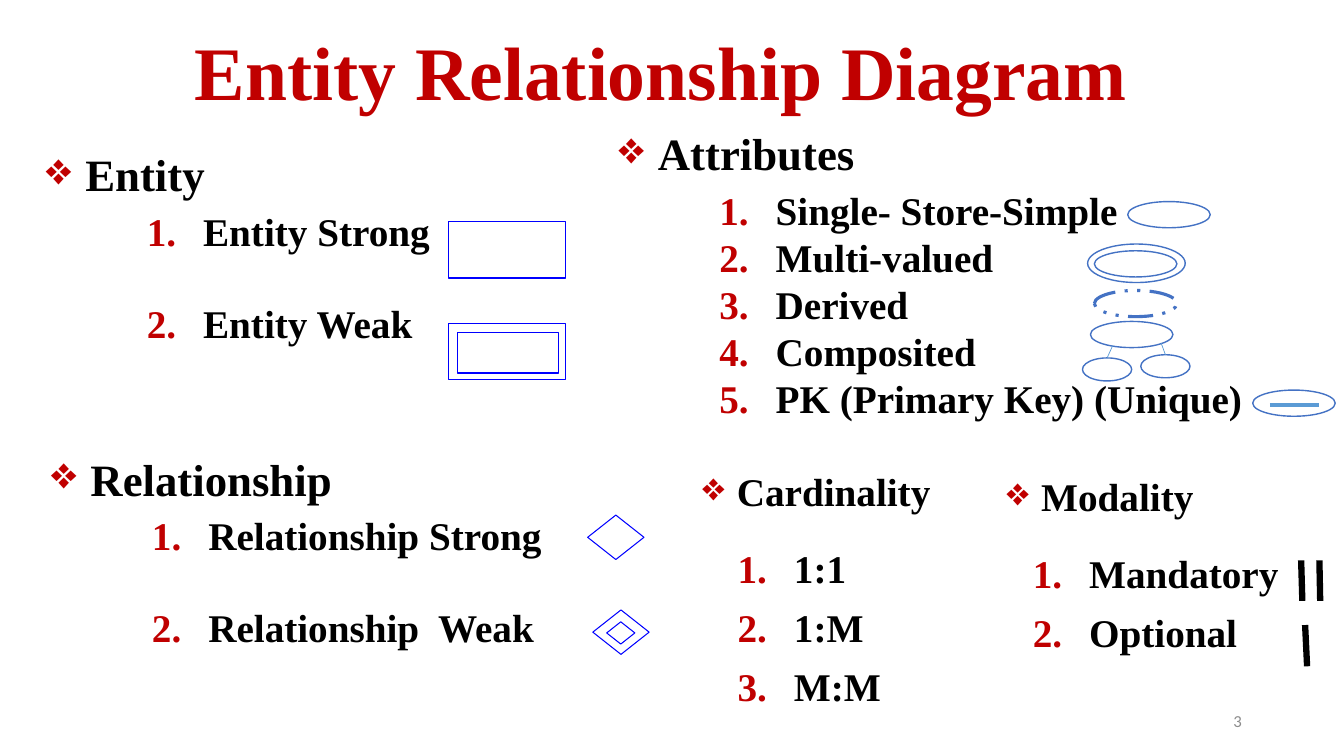
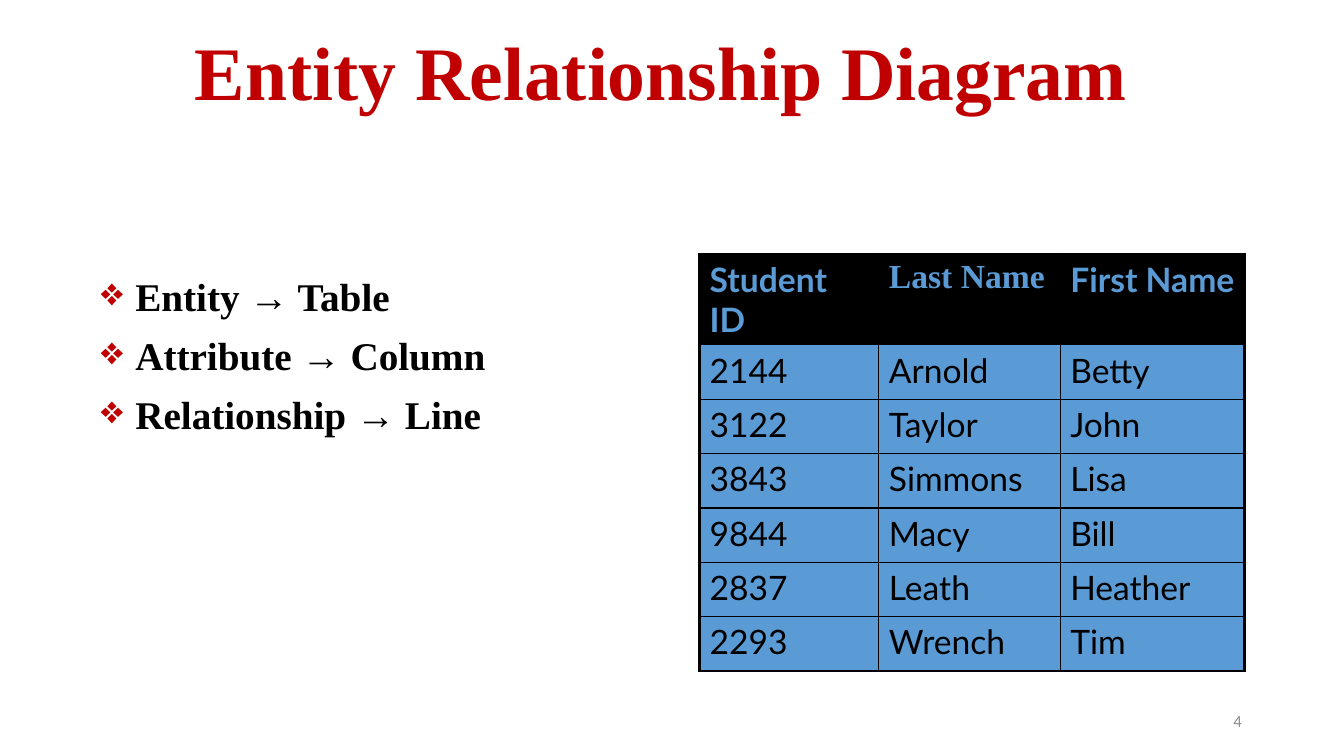
import dataclasses
import typing

import lxml.etree
import pptx
import pptx.dml.color
import pptx.enum.dml
import pptx.enum.shapes
import pptx.enum.text
import pptx.oxml.ns
import pptx.util

Cm = pptx.util.Cm
Pt = pptx.util.Pt
qn = pptx.oxml.ns.qn
Align = pptx.enum.text.PP_ALIGN
Anchor = pptx.enum.text.MSO_ANCHOR
Kind = pptx.enum.shapes.MSO_SHAPE


@dataclasses.dataclass(frozen=True)
class Theme:
    red: str = "C00000"
    black: str = "000000"
    white: str = "FFFFFF"
    gray: str = "8C8C8C"
    symbol_blue: str = "0000FF"
    oval_blue: str = "4472C4"
    light_blue: str = "5B9BD5"
    serif: str = "Times New Roman"
    table_font: str = "Lato"
    number_font: str = "Calibri"
    title_size: float = 54
    heading_size: float = 32
    body_size: float = 28
    table_size: float = 24
    number_size: float = 12


THEME = Theme()


class Box(typing.NamedTuple):
    """Left, top, width and height in centimetres."""
    x: float
    y: float
    w: float
    h: float


class Topic(typing.NamedTuple):
    box: Box
    heading: str
    items: tuple[str, ...]
    item_gap: float = 0


class Listing(typing.NamedTuple):
    box: Box
    items: tuple[str, ...]
    numbered: bool = False


class Symbol(typing.NamedTuple):
    kind: Kind
    box: Box
    color: str
    weight: float = 1
    dash: typing.Any = None


class Stroke(typing.NamedTuple):
    x1: float
    y1: float
    x2: float
    y2: float
    color: str
    weight: float


TITLE = "Entity Relationship Diagram"
TITLE_BOX = Box(2.29, 0.66, 28.73, 2.51)
NUMBER_BOX = Box(23.93, 17.65, 7.62, 1.02)
DIAMOND_BULLET = "❖"
NUMBER_HANG = 1.42
TOPIC_INDENT = 3.96

TOPICS = (
    Topic(Box(0.91, 3.58, 15, 6.58), "Entity", ("Entity Strong", "Entity Weak"), 32),
    Topic(Box(15.34, 3.05, 17.17, 7.77), "Attributes",
          ("Single- Store-Simple", "Multi-valued", "Derived", "Composited",
           "PK (Primary Key) (Unique)")),
    Topic(Box(1.04, 11.25, 14.66, 6.58), "Relationship",
          ("Relationship Strong", "Relationship  Weak"), 32),
)
CONSTRAINTS = (
    Listing(Box(17.45, 11.79, 7.5, 1.35), ("Cardinality",)),
    Listing(Box(18.34, 13.72, 7, 4.34), ("1:1", "1:M", "M:M"), True),
    Listing(Box(25.12, 11.91, 8.5, 1.35), ("Modality",)),
    Listing(Box(25.78, 13.84, 8, 2.84), ("Mandatory", "Optional"), True),
)
MAPPING = Listing(Box(2.29, 6.86, 10.74, 4.34),
                  ("Entity → Table", "Attribute → Column", "Relationship → Line"))


def oval(x: float, y: float, w: float = 2.08, h: float = 0.66, **line: typing.Any) -> Symbol:
    return Symbol(Kind.OVAL, Box(x, y, w, h), THEME.oval_blue, **line)


def rectangle(x: float, y: float, w: float = 2.95, h: float = 1.42) -> Symbol:
    return Symbol(Kind.RECTANGLE, Box(x, y, w, h), THEME.symbol_blue)


def diamond(x: float, y: float, w: float = 1.42, h: float = 1.12) -> Symbol:
    return Symbol(Kind.DIAMOND, Box(x, y, w, h), THEME.symbol_blue, 0.75)


SYMBOLS = (
    rectangle(11.3, 5.59),
    rectangle(11.3, 8.15),
    rectangle(11.53, 8.38, 2.54, 1.02),
    diamond(14.81, 12.98),
    diamond(14.94, 15.37),
    diamond(15.29, 15.67, 0.71, 0.56),
    oval(28.42, 5.08),
    oval(27.41, 6.15, 2.46, 0.97),
    oval(27.58, 6.32),
    oval(27.58, 7.32, weight=2.25, dash=pptx.enum.dml.MSO_LINE.DASH_DOT_DOT),
    oval(27.48, 8.1),
    oval(31.57, 9.83),
)
# Each part of the composite attribute, with the start of its link
COMPOSITE_PARTS = (
    (oval(28.75, 8.94, 1.24, 0.58), (29.26, 8.64)),
    (oval(27.28, 9.02, 1.24, 0.58), (28.04, 8.71)),
)
STROKES = (
    Stroke(32, 10.21, 33.25, 10.21, THEME.light_blue, 3),
    Stroke(32.79, 14.12, 32.82, 15.14, THEME.black, 4.5),
    Stroke(33.25, 14.12, 33.27, 15.14, THEME.black, 4.5),
    Stroke(32.89, 15.75, 32.94, 16.79, THEME.black, 4.5),
)

TABLE_BOX = Box(17.63, 6.4, 13.74, 10.51)
COLUMN_WIDTHS = (4.52, 4.57, 4.65)
HEADER_HEIGHT = 2.29
ROW_HEIGHT = 1.37
STUDENTS = (
    ("Student ID", "Last Name", "First Name"),
    ("2144", "Arnold", "Betty"),
    ("3122", "Taylor", "John"),
    ("3843", "Simmons", "Lisa"),
    ("9844", "Macy", "Bill"),
    ("2837", "Leath", "Heather"),
    ("2293", "Wrench", "Tim"),
)


def rgb(color: str) -> pptx.dml.color.RGBColor:
    return pptx.dml.color.RGBColor.from_string(color)


def place(box: Box) -> tuple[Cm, ...]:
    return tuple(Cm(v) for v in box)


def write(tf, text: str, *, size: float = THEME.body_size, font: str = THEME.serif,
          color: str = THEME.black, bold: bool = True, align=None, line: float = 1,
          before: float = 0, after: float = 0):
    """Fill the empty first paragraph, or add one, and return it."""
    p = tf.paragraphs[0]
    if p.runs:
        p = tf.add_paragraph()
    p.alignment = align
    p.line_spacing = line
    p.space_before, p.space_after = Pt(before), Pt(after)
    r = p.add_run()
    r.text = text
    r.font.size, r.font.name, r.font.bold = Pt(size), font, bold
    r.font.color.rgb = rgb(color)
    return p


def add_bullet(p, left: float, hang: float, numbered: bool) -> None:
    pPr = p._p.get_or_add_pPr()
    pPr.set("marL", str(Cm(left)))
    pPr.set("indent", str(-Cm(hang)))
    color = lxml.etree.SubElement(pPr, qn("a:buClr"))
    lxml.etree.SubElement(color, qn("a:srgbClr"), val=THEME.red)
    if numbered:
        lxml.etree.SubElement(pPr, qn("a:buAutoNum"), type="arabicPeriod")
    else:
        lxml.etree.SubElement(pPr, qn("a:buChar"), char=DIAMOND_BULLET)


def add_diamond_bullet(p, size: float) -> None:
    """Hang the paragraph by the width of its bullet."""
    hang = round(size * 0.031, 2)
    add_bullet(p, hang, hang, False)


def add_frame(slide, box: Box, anchor=Anchor.TOP):
    tf = slide.shapes.add_textbox(*place(box)).text_frame
    tf.word_wrap = True
    tf.vertical_anchor = anchor
    return tf


def add_topic(slide, topic: Topic) -> None:
    tf = add_frame(slide, topic.box)
    p = write(tf, topic.heading, size=THEME.heading_size, after=4.6)
    add_diamond_bullet(p, THEME.heading_size)
    for i, item in enumerate(topic.items):
        p = write(tf, item, before=topic.item_gap if i else 0)
        add_bullet(p, TOPIC_INDENT, NUMBER_HANG, True)


def add_listing(slide, listing: Listing) -> None:
    tf = add_frame(slide, listing.box)
    for item in listing.items:
        p = write(tf, item, line=0.9, before=6, after=6)
        if listing.numbered:
            add_bullet(p, NUMBER_HANG, NUMBER_HANG, True)
        else:
            add_diamond_bullet(p, THEME.body_size)


def add_symbol(slide, symbol: Symbol):
    sp = slide.shapes.add_shape(symbol.kind, *place(symbol.box))
    sp.shadow.inherit = False
    sp.fill.solid()
    sp.fill.fore_color.rgb = rgb(THEME.white)
    sp.line.color.rgb = rgb(symbol.color)
    sp.line.width = Pt(symbol.weight)
    if symbol.dash is not None:
        sp.line.dash_style = symbol.dash
    return sp


def add_stroke(slide, stroke: Stroke):
    ends = (Cm(v) for v in stroke[:4])
    line = slide.shapes.add_connector(pptx.enum.shapes.MSO_CONNECTOR.STRAIGHT, *ends)
    line.line.color.rgb = rgb(stroke.color)
    line.line.width = Pt(stroke.weight)
    lxml.etree.SubElement(line._element.spPr, qn("a:effectLst"))
    return line


def set_border(cell, side: str, weight: float) -> None:
    ln = lxml.etree.SubElement(cell._tc.get_or_add_tcPr(), qn(f"a:ln{side}"), w=str(Pt(weight)))
    fill = lxml.etree.SubElement(ln, qn("a:solidFill"))
    lxml.etree.SubElement(fill, qn("a:srgbClr"), val=THEME.black)


def add_student_table(slide) -> None:
    last_row, last_col = len(STUDENTS) - 1, len(COLUMN_WIDTHS) - 1
    table = slide.shapes.add_table(last_row + 1, last_col + 1, *place(TABLE_BOX)).table
    table.horz_banding = False
    for column, width in zip(table.columns, COLUMN_WIDTHS):
        column.width = Cm(width)
    for i, values in enumerate(STUDENTS):
        header = i == 0
        table.rows[i].height = Cm(HEADER_HEIGHT if header else ROW_HEIGHT)
        for j, value in enumerate(values):
            cell = table.cell(i, j)
            outer = {"L": j == 0, "R": j == last_col, "T": header, "B": i == last_row}
            for side, thick in outer.items():
                set_border(cell, side, 2.25 if thick else 1)
            cell.fill.solid()
            cell.fill.fore_color.rgb = rgb(THEME.black if header else THEME.light_blue)
            write(cell.text_frame, value, size=THEME.table_size, bold=header,
                  font=THEME.serif if value == "Last Name" else THEME.table_font,
                  color=THEME.light_blue if header else THEME.black)


def add_base_slide(prs, number: int):
    """Add a blank slide with the shared title and its slide number."""
    slide = prs.slides.add_slide(prs.slide_layouts[6])
    write(add_frame(slide, TITLE_BOX, Anchor.MIDDLE), TITLE, size=THEME.title_size,
          color=THEME.red, align=Align.CENTER, line=0.9)
    write(add_frame(slide, NUMBER_BOX, Anchor.MIDDLE), str(number), size=THEME.number_size,
          font=THEME.number_font, color=THEME.gray, bold=False, align=Align.RIGHT)
    return slide


def build_notation_slide(prs) -> None:
    slide = add_base_slide(prs, 3)
    for topic in TOPICS:
        add_topic(slide, topic)
    for listing in CONSTRAINTS:
        add_listing(slide, listing)
    for symbol in SYMBOLS:
        add_symbol(slide, symbol)
    for part, (x, y) in COMPOSITE_PARTS:
        sp = add_symbol(slide, part)
        link = add_stroke(slide, Stroke(x, y, part.box.x, part.box.y, THEME.light_blue, 0.5))
        link.end_connect(sp, 0)
    for stroke in STROKES:
        add_stroke(slide, stroke)


def build_mapping_slide(prs) -> None:
    slide = add_base_slide(prs, 4)
    add_listing(slide, MAPPING)
    add_student_table(slide)


def main() -> None:
    prs = pptx.Presentation()
    prs.slide_width, prs.slide_height = Cm(33.87), Cm(19.05)
    build_notation_slide(prs)
    build_mapping_slide(prs)
    prs.save("out.pptx")


if __name__ == "__main__":
    main()
